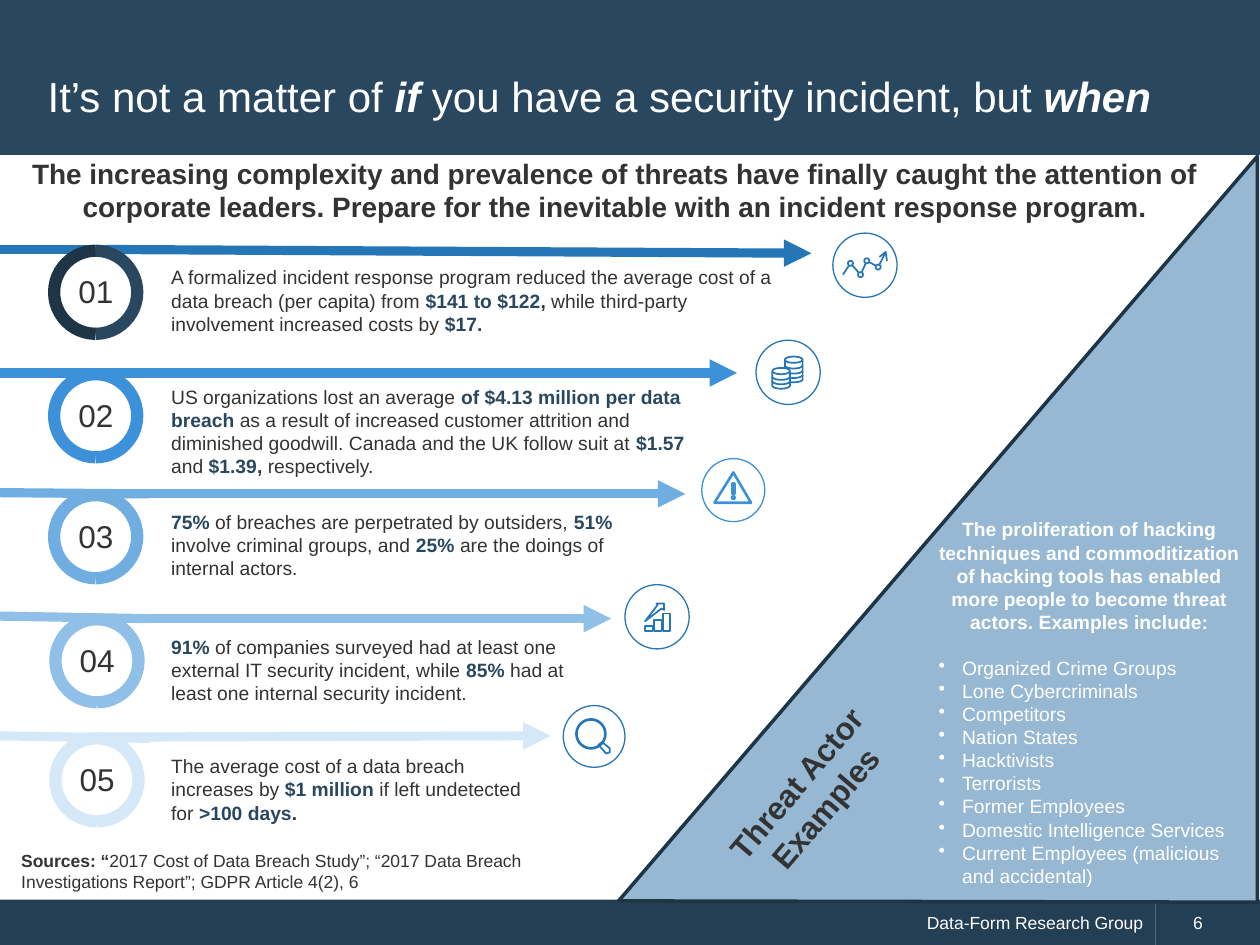
import math
import pptx
import pptx.util
import pptx.dml.color
import pptx.enum.shapes
import pptx.enum.text
import pptx.oxml.ns
from lxml import etree

COLUMNS, ROWS = 100, 75
CELL = pptx.util.Inches(10) / COLUMNS
COLORS = {
    "band": "29475F", "footer": "243F54", "edge": "1E3546", "panel": "96B8D2",
    "white": "FFFFFF", "text": "333333", "icon": "2576B7", "blue": "3C91D8",
    "sky": "70AEE2", "light": "90C0E8", "pale": "D5E8F7",
}
STYLES = {
    "plain": ("text", False, False), "strong": ("text", True, False), "key": ("band", True, False),
    "title": ("white", False, False), "stress": ("white", True, True),
    "panel": ("white", False, False), "lead": ("white", True, False),
}

TITLE = [("It’s not a matter of ", "title"), ("if ", "stress"),
         ("you have a security incident, but ", "title"), ("when", "stress")]
SUMMARY = [("The increasing complexity and prevalence of threats have finally caught the attention of "
            "corporate leaders. Prepare for the inevitable with an incident response program.", "strong")]
FACTS = [
    dict(arrow=(8.4, 19.8, 64.4, 20.1), tail=(10.7, 19.8, 19.8), ring=(7.6, 23.2),
         colors=("icon", "edge", "band"), box=(20.6, 50.3, 6.6), runs=[
            ("A formalized incident response program reduced the average cost of a data breach (per capita) from ", "plain"),
            ("$141 to $122", "key"), (",", "strong"),
            (" while third-party involvement increased costs by ", "plain"), ("$17.", "key")]),
    dict(arrow=(7.6, 29.6, 58.5, 29.6), tail=(11.8, 29.6, 29.6), ring=(7.6, 33),
         colors=("blue", "blue", "blue"), box=(30.1, 45, 8.4), runs=[
            ("US organizations lost an average ", "plain"), ("of $4.13 million per data breach", "key"),
            (" as a result of increased customer attrition and diminished goodwill. "
             "Canada and the UK follow suit at ", "plain"),
            ("$1.57 ", "key"), ("and ", "plain"), ("$1.39", "key"), (", ", "strong"), ("respectively.", "plain")]),
    dict(arrow=(7.6, 39.2, 54.4, 39.2), tail=(11.8, 39.2, 39.1), ring=(7.6, 42.6),
         colors=("sky", "sky", "sky"), box=(40, 41.2, 6.6), runs=[
            ("75% ", "key"), ("of breaches are perpetrated by outsiders, ", "plain"), ("51%", "key"),
            (" involve criminal groups, and ", "plain"), ("25%", "key"),
            (" are the doings of internal actors.", "plain")]),
    dict(arrow=(7.7, 49.1, 48.5, 49.1), tail=(11.9, 49.1, 48.9), ring=(7.7, 52.45),
         colors=("light", "light", "light"), box=(49.9, 35.9, 6.6), runs=[
            ("91%", "key"), (" of companies surveyed had at least one external IT security incident, while ", "plain"),
            ("85% ", "key"), ("had at least one internal security incident.", "plain")]),
    dict(arrow=(7.7, 58.5, 43.7, 58.4), tail=(11.9, 58.6, 58.4), ring=(7.7, 61.9),
         colors=("pale", "pale", "pale"), box=(59.4, 30.3, 6.6), runs=[
            ("The average cost of a data breach increases by ", "plain"), ("$1 million", "key"),
            (" if left undetected for ", "plain"), (">100 days", "key"), (".", "strong")]),
]
PANEL_LEAD = ("The proliferation of hacking techniques and commoditization of hacking tools has enabled "
              "more people to become threat actors. Examples include:")
ACTORS = ["Organized Crime Groups", "Lone Cybercriminals", "Competitors", "Nation States", "Hacktivists",
          "Terrorists", "Former Employees", "Domestic Intelligence Services",
          "Current Employees (malicious and accidental)"]
SOURCES = [("Sources: “", "strong"),
           ("2017 Cost of Data Breach Study”; “2017 Data Breach Investigations Report”; GDPR Article 4(2), 6", "plain")]
FOOTER = "Data-Form Research Group"

TREND = [(66.9, 21.8), (67.5, 20.9), (68.3, 21.8), (68.8, 20.7), (69.7, 21.2), (70.3, 20)]
BARS = [(51.2, 49.7), (51.9, 49.2), (52.6, 48.7)]
GROWTH = [(52.7, 47.9), (52.1, 47.9), (52.2, 48), (51.2, 49.3), (52.5, 48.3), (52.7, 48.4)]
WARNING = [(56.7, 39.9), (58.2, 37.5), (59.6, 39.9)]
HANDLE = [(47.8, 58.9), (48.4, 59.4), (48.4, 59.7), (48.1, 59.8), (47.5, 59.1)]

ALIGN = pptx.enum.text.PP_ALIGN
MIDDLE = pptx.enum.text.MSO_ANCHOR.MIDDLE
PRESET = pptx.enum.shapes.MSO_SHAPE

deck = pptx.Presentation()
deck.slide_width, deck.slide_height = round(COLUMNS * CELL), round(ROWS * CELL)
slide = deck.slides.add_slide(deck.slide_layouts[6])


def cells(*values):
    return [pptx.util.Emu(round(value * CELL)) for value in values]


def color(name):
    return pptx.dml.color.RGBColor.from_string(COLORS[name])


def paint(shape, fill=None, line=None, width=1):
    shape.shadow.inherit = False
    if fill:
        shape.fill.solid()
        shape.fill.fore_color.rgb = color(fill)
    else:
        shape.fill.background()
    if line:
        shape.line.color.rgb = color(line)
        shape.line.width = pptx.util.Pt(width)
    else:
        shape.line.fill.background()
    return shape


def block(parent, preset, box, **look):
    return paint(parent.shapes.add_shape(preset, *cells(*box)), **look)


def disc(parent, x, y, radius, **look):
    return block(parent, PRESET.OVAL, (x - radius, y - radius, 2 * radius, 2 * radius), **look)


def outline(parent, *contours, close=False, **look):
    builder = None
    for points in contours:
        start, *rest = [cells(*point) for point in points]
        if builder is None:
            builder = parent.shapes.build_freeform(*start)
        else:
            builder.move_to(*start)
        builder.add_line_segments(rest, close=close)
    return paint(builder.convert_to_shape(), **look)


def arc(x, y, rx, ry, start, end, steps=24):
    angles = [math.radians(start + (end - start) * step / steps) for step in range(steps + 1)]
    return [(x + rx * math.cos(angle), y + ry * math.sin(angle)) for angle in angles]


def stroke(parent, ends, name, width, arrow=False):
    line = parent.shapes.add_connector(pptx.enum.shapes.MSO_CONNECTOR.STRAIGHT, *cells(*ends))
    line.line.color.rgb = color(name)
    line.line.width = pptx.util.Pt(width)
    properties = line._element.spPr
    if arrow:
        etree.SubElement(properties.find(pptx.oxml.ns.qn("a:ln")), pptx.oxml.ns.qn("a:tailEnd"), type="triangle")
    etree.SubElement(properties, pptx.oxml.ns.qn("a:effectLst"))


def write(paragraph, runs, size, align=ALIGN.LEFT):
    paragraph.alignment = align
    for words, style in runs:
        run = paragraph.add_run()
        run.text = words
        name, run.font.bold, run.font.italic = STYLES[style]
        run.font.color.rgb = color(name)
        run.font.name, run.font.size = "Arial", pptx.util.Pt(size)


def label(box, runs, size, align=ALIGN.LEFT, anchor=pptx.enum.text.MSO_ANCHOR.TOP, wrap=True):
    text = slide.shapes.add_textbox(*cells(*box))
    text.text_frame.word_wrap = wrap
    text.text_frame.vertical_anchor = anchor
    write(text.text_frame.paragraphs[0], runs, size, align)
    return text


def badge(x, y, radius=2.55, fill=None, line="icon"):
    group = slide.shapes.add_group_shape()
    disc(group, x, y, radius, fill=fill, line=line, width=0.75)
    return group


for box, words, align, inset in [((0, 71.4, 91.7, 3.65), FOOTER, ALIGN.RIGHT, 1),
                                 ((91.7, 71.4, 8.3, 3.65), "6", ALIGN.LEFT, 3)]:
    bar = block(slide, PRESET.RECTANGLE, box, fill="footer")
    bar.text_frame.margin_left, = cells(inset)
    bar.text_frame.vertical_anchor = MIDDLE
    write(bar.text_frame.paragraphs[0], [(words, "panel")], 10, align)
block(slide, PRESET.RECTANGLE, (0, 0, COLUMNS, 12.3), fill="band")
outline(slide, [(49.1, 71.5), (99.8, 12.4), (99.8, 71.6)], close=True, fill="panel", line="edge", width=2)
label((2.8, 2.8, 94.3, 9.6), TITLE, 24, anchor=MIDDLE)
summary = label((0.7, 11.9, 96.2, 5.1), SUMMARY, 16, ALIGN.CENTER)
summary.text_frame.paragraphs[0].space_before = pptx.util.Pt(2)

for number, fact in enumerate(FACTS, 1):
    arrow_color, left_color, right_color = fact["colors"]
    tail_x, tail_y, edge_y = fact["tail"]
    x, y = fact["ring"]
    top, width, height = fact["box"]
    stroke(slide, fact["arrow"], arrow_color, 5.25, arrow=True)
    stroke(slide, (tail_x, tail_y, 0, edge_y), arrow_color, 5.25)
    outline(slide, arc(x, y, 3.3, 3.3, 90, 270), line=left_color, width=7)
    outline(slide, arc(x, y, 3.3, 3.3, -90, 90), line=right_color, width=7)
    label((x - 2.4, y - 2.1, 4.8, 4), [(f"{number:02}", "plain")], 18, ALIGN.CENTER, MIDDLE, wrap=False)
    label((12.6, top, width, height), fact["runs"], 11)

coins = badge(62.55, 29.55, fill="white")
coin_parts = [arc(62, 29.45, 0.7, 0.25, 0, 360), arc(63, 28.55, 0.7, 0.25, 0, 360),
              [(62.7, 29.5), *arc(62, 30.6, 0.7, 0.25, 0, 180), (61.3, 29.5)],
              [(62.3, 29.2), (62.3, 28.6)],
              [(63.7, 28.6), *arc(63, 30.1, 0.7, 0.25, 0, 115)], arc(63, 29, 0.7, 0.25, 0, 180)]
coin_parts += [arc(62, y, 0.7, 0.25, 0, 180) for y in (29.9, 30.25)]
coin_parts += [arc(63, y, 0.7, 0.25, 0, 115) for y in (29.4, 29.75)]
for part in coin_parts:
    outline(coins, part, line="icon")

growth = badge(52.15, 48.95, fill="white")
for x, y in BARS:
    outline(growth, [(x, y), (x + 0.6, y), (x + 0.6, 50.1), (x, 50.1)], close=True, line="icon")
outline(growth, GROWTH, close=True, line="icon")

trend = badge(68.65, 21.05)
outline(trend, [(69.8, 20.4), (70.3, 20), (70.4, 20.7)], line="icon")
for start, end in zip(TREND, TREND[1:]):
    stroke(trend, (*start, *end), "icon", 1)
for x, y in TREND[1:-1]:
    disc(trend, x, y, 0.2, fill="white", line="icon")

panel = label((73.5, 40.6, 25.9, 30.6), [(PANEL_LEAD, "lead")], 11, ALIGN.CENTER)
panel.text_frame.paragraphs[0].space_after = pptx.util.Pt(13)
for actor in ACTORS:
    item = panel.text_frame.add_paragraph()
    write(item, [(actor, "panel")], 11)
    properties = item._p.get_or_add_pPr()
    indent, = cells(1.87)
    properties.set("marL", str(indent))
    properties.set("indent", str(-indent))
    etree.SubElement(properties, pptx.oxml.ns.qn("a:buChar"), char="•")
label((0.7, 67, 43.9, 4.4), SOURCES, 10)
label((54, 59.6, 20.7, 7.1), [("Threat Actor Examples", "strong")], 18, ALIGN.CENTER).rotation = 310.4

warning = badge(58.2, 38.9, 2.5, line="blue")
outline(warning, WARNING, arc(58.2, 39.5, 0.1, 0.1, 0, 360),
        [(58.1, 38.4), (58.3, 38.4), (58.3, 39.2), (58.1, 39.2)], close=True, line="blue", width=1.5)
search = badge(47.15, 58.45, 2.45)
disc(search, 46.9, 58.25, 1.15, line="icon", width=1.5)
outline(search, HANDLE, close=True, line="icon", width=1)

deck.save("out.pptx")
